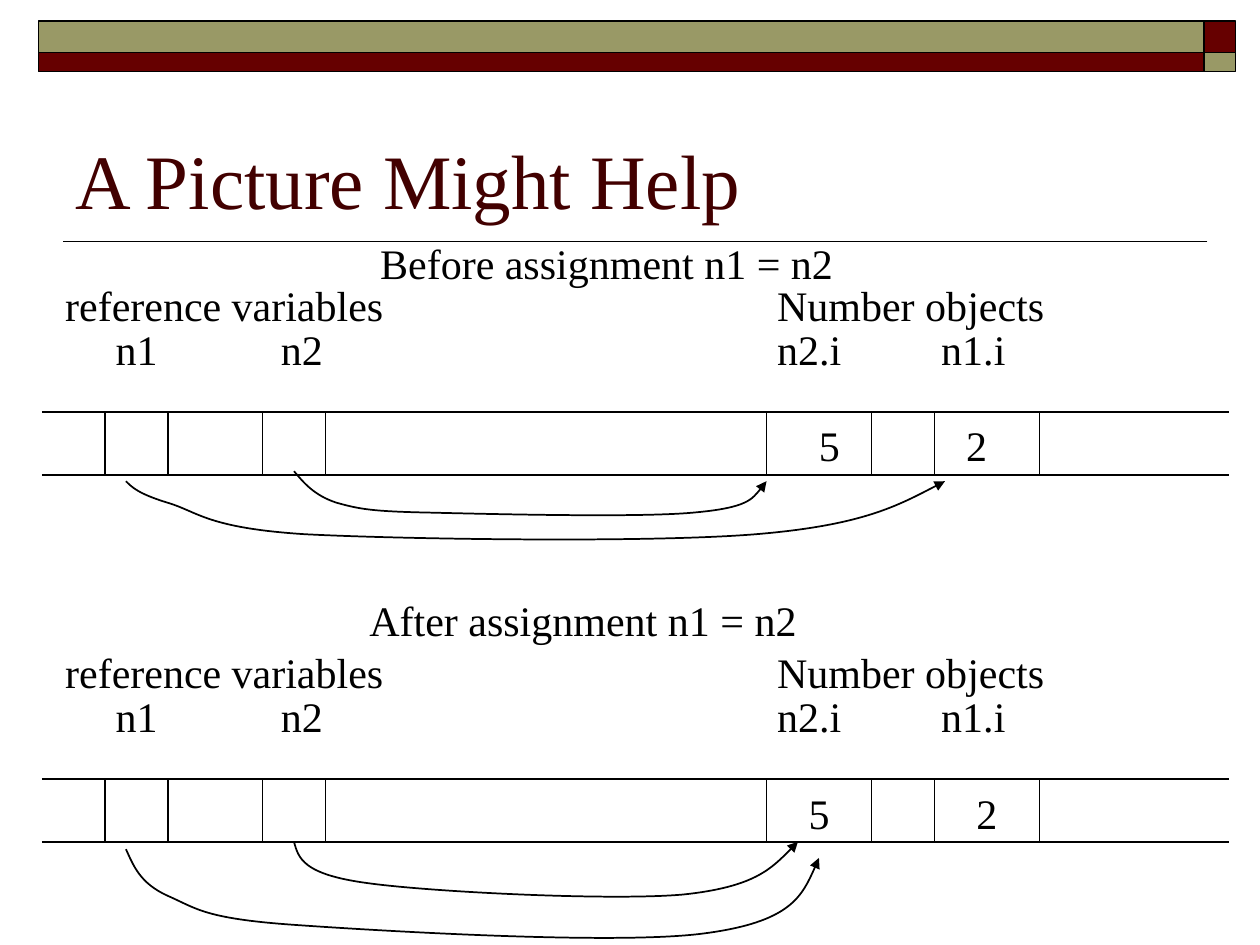
from dataclasses import dataclass

from lxml import etree
from pptx import Presentation
from pptx.dml.color import RGBColor
from pptx.enum.shapes import MSO_CONNECTOR, MSO_SHAPE
from pptx.enum.text import MSO_ANCHOR, MSO_AUTO_SIZE
from pptx.oxml.ns import qn
from pptx.util import Pt

STRAIGHT = MSO_CONNECTOR.STRAIGHT
RECT = MSO_SHAPE.RECTANGLE
BOTTOM, TOP = MSO_ANCHOR.BOTTOM, MSO_ANCHOR.TOP
FIT_SHAPE, FIT_NONE = MSO_AUTO_SIZE.SHAPE_TO_FIT_TEXT, MSO_AUTO_SIZE.NONE

BLACK = RGBColor(0x00, 0x00, 0x00)
MAROON = RGBColor(0x66, 0x00, 0x00)
OLIVE = RGBColor(0x99, 0x99, 0x66)
TITLE_COLOR = RGBColor(0x42, 0x00, 0x00)
FONT = "Times New Roman"

MEMORY_LEFT, MEMORY_RIGHT, MEMORY_HEIGHT = 24, 702, 36
CELL_EDGES = (60, 96, 150, 186, 438, 498, 534, 594)

Points = tuple[tuple[float, float], ...]


@dataclass(frozen=True)
class Label:
    text: str
    x: float
    y: float
    w: float


@dataclass(frozen=True)
class MemoryState:
    """One memory strip; label heights are relative to its top edge."""
    top: float
    labels: tuple[Label, ...]
    arrows: tuple[Points, ...]


COMMON_LABELS = (
    Label("n1", 59, -54, 39),
    Label("n2", 153.4, -54, 39),
    Label("reference variables", 30.2, -79.2, 198),
    Label("Number objects", 437, -79.2, 168),
    Label("n2.i", 437, -54, 52),
    Label("n1.i", 530.8, -54, 52),
)

# Each arrow is a start point followed by Bézier triples on the slide.
STATES = (
    MemoryState(
        235.6,
        (Label("Before assignment n1 = n2", 210.2, -103.6, 274),
         Label("5", 460.8, 0.8, 27), Label("2", 545, 0.8, 27)),
        (((72, 275),
          (75.6, 278.6), (79.2, 282.2), (95.8, 287.3),
          (113, 292.3), (118, 301.7), (174.2, 305.3),
          (229.7, 308.2), (370.8, 310.3), (432, 305.3),
          (493.2, 300.2), (516.2, 287.3), (540, 275)),
         ((168, 269.3),
          (173.5, 275.8), (179.3, 283), (192.2, 287.3),
          (205.2, 290.9), (211.7, 292.3), (246.2, 293),
          (280.1, 293.8), (364.3, 295.9), (396, 293),
          (427.7, 290.2), (432.7, 282.2), (438, 275))),
    ),
    MemoryState(
        445,
        (Label("After assignment n1 = n2", 204, -108.8, 260),
         Label("5", 455, 1.4, 27), Label("2", 550.8, 1.4, 27)),
        (((72, 485.3),
          (76.3, 494.6), (79.9, 504.7), (95.8, 511.9),
          (112.3, 519.1), (116.6, 524.9), (167.8, 528.5),
          (218.9, 532.1), (352.1, 540), (401.8, 533.5),
          (452.2, 527), (460.1, 509), (468, 490.3)),
         ((168, 481),
          (170.6, 490.3), (172.8, 499.7), (210.2, 504.7),
          (247, 509.8), (349.2, 514.8), (390.2, 511.2),
          (431.3, 506.9), (443.5, 493.9), (456, 481))),
    ),
)


def set_line(sp) -> None:
    sp.line.color.rgb = BLACK
    sp.line.width = Pt(1)


def add_line(s, x1: float, y1: float, x2: float, y2: float) -> None:
    sp = s.shapes.add_connector(STRAIGHT, Pt(x1), Pt(y1), Pt(x2), Pt(y2))
    set_line(sp)
    etree.SubElement(sp._element.spPr, qn("a:effectLst"))


def add_bar(s, x: float, y: float, w: float, h: float, color: RGBColor) -> None:
    sp = s.shapes.add_shape(RECT, Pt(x), Pt(y), Pt(w), Pt(h))
    sp.shadow.inherit = False
    sp.fill.solid()
    sp.fill.fore_color.rgb = color
    set_line(sp)


def add_text(s, text: str, x: float, y: float, w: float, h: float = 36, *,
             size: float = 24, color: RGBColor = BLACK, anchor=TOP,
             wrap: bool = False) -> None:
    tf = s.shapes.add_textbox(Pt(x), Pt(y), Pt(w), Pt(h)).text_frame
    tf.word_wrap = wrap
    tf.auto_size = FIT_NONE if wrap else FIT_SHAPE
    tf.vertical_anchor = anchor
    r = tf.paragraphs[0].add_run()
    r.text = text
    r.font.name = FONT
    r.font.size = Pt(size)
    r.font.color.rgb = color


def add_curved_arrow(s, points: Points) -> None:
    """Draw a Bézier path, turning each three line segments into one curve."""
    (x, y), *rest = points
    builder = s.shapes.build_freeform(Pt(x), Pt(y))
    builder.add_line_segments([(Pt(px), Pt(py)) for px, py in rest], close=False)
    sp = builder.convert_to_shape()
    sp.shadow.inherit = False
    sp.fill.background()
    set_line(sp)
    segments = list(sp._element.iter(qn("a:lnTo")))
    for i in range(0, len(segments), 3):
        curve = etree.Element(qn("a:cubicBezTo"))
        segments[i].addprevious(curve)
        for segment in segments[i:i + 3]:
            curve.append(segment[0])
            segment.getparent().remove(segment)
    ln = sp._element.spPr.find(qn("a:ln"))
    etree.SubElement(ln, qn("a:tailEnd"), type="triangle")


def add_memory(s, state: MemoryState) -> None:
    bottom = state.top + MEMORY_HEIGHT
    for y in (state.top, bottom):
        add_line(s, MEMORY_LEFT, y, MEMORY_RIGHT, y)
    for x in CELL_EDGES:
        add_line(s, x, state.top, x, bottom)
    for label in COMMON_LABELS + state.labels:
        add_text(s, label.text, label.x, state.top + label.y, label.w)
    for points in state.arrows:
        add_curved_arrow(s, points)


def main() -> None:
    prs = Presentation()
    prs.slide_width, prs.slide_height = Pt(720), Pt(540)
    s = prs.slides.add_slide(prs.slide_layouts[6])

    add_line(s, 690, 138, 36, 138)
    for y, h, wide, narrow in ((12, 18, OLIVE, MAROON), (30, 11, MAROON, OLIVE)):
        add_bar(s, 22, y, 666, h, wide)
        add_bar(s, 688, y, 18, h, narrow)
    add_text(s, "A Picture Might Help", 36, 42, 648, 90,
             size=44, color=TITLE_COLOR, anchor=BOTTOM, wrap=True)
    for state in STATES:
        add_memory(s, state)
    prs.save("out.pptx")


if __name__ == "__main__":
    main()
